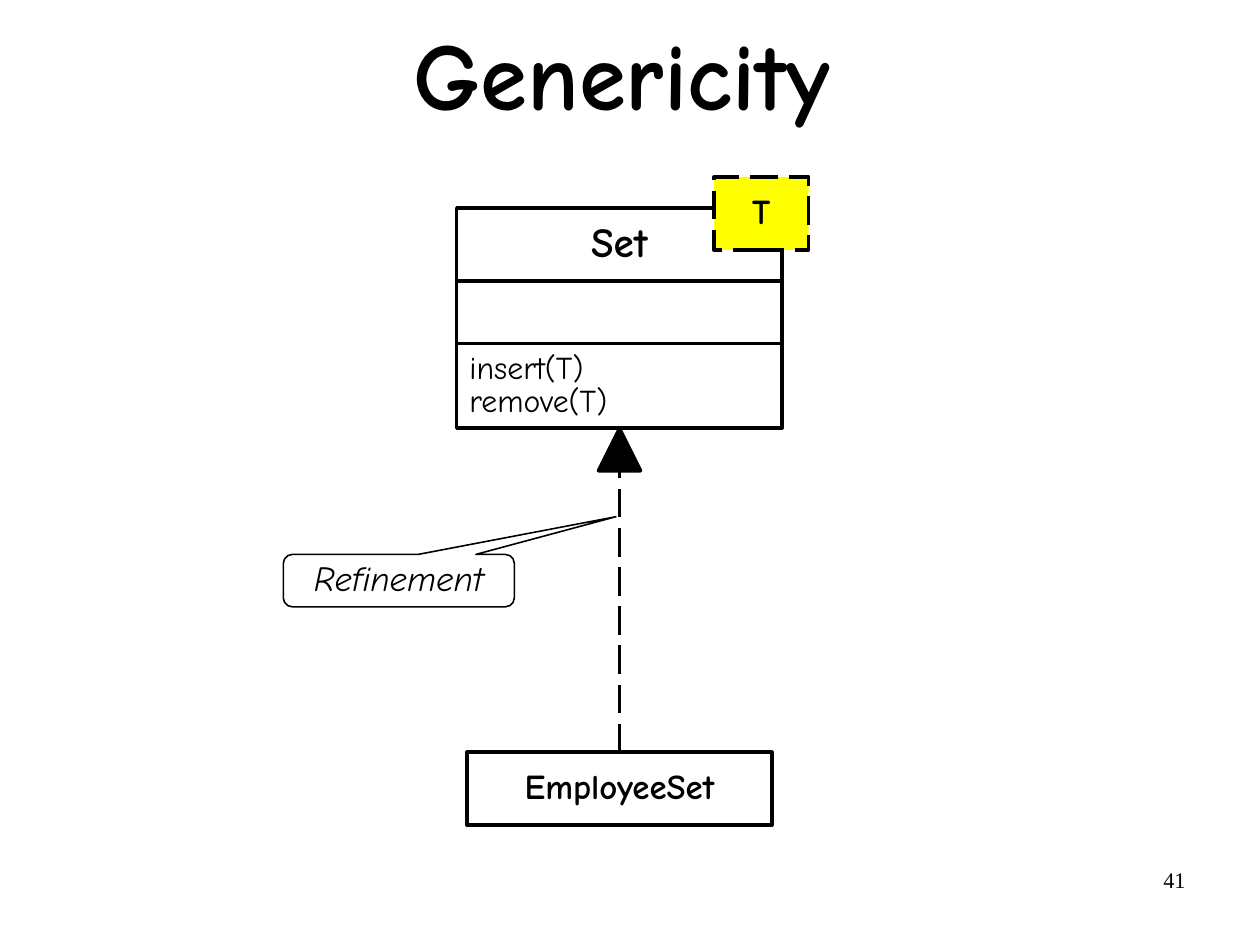
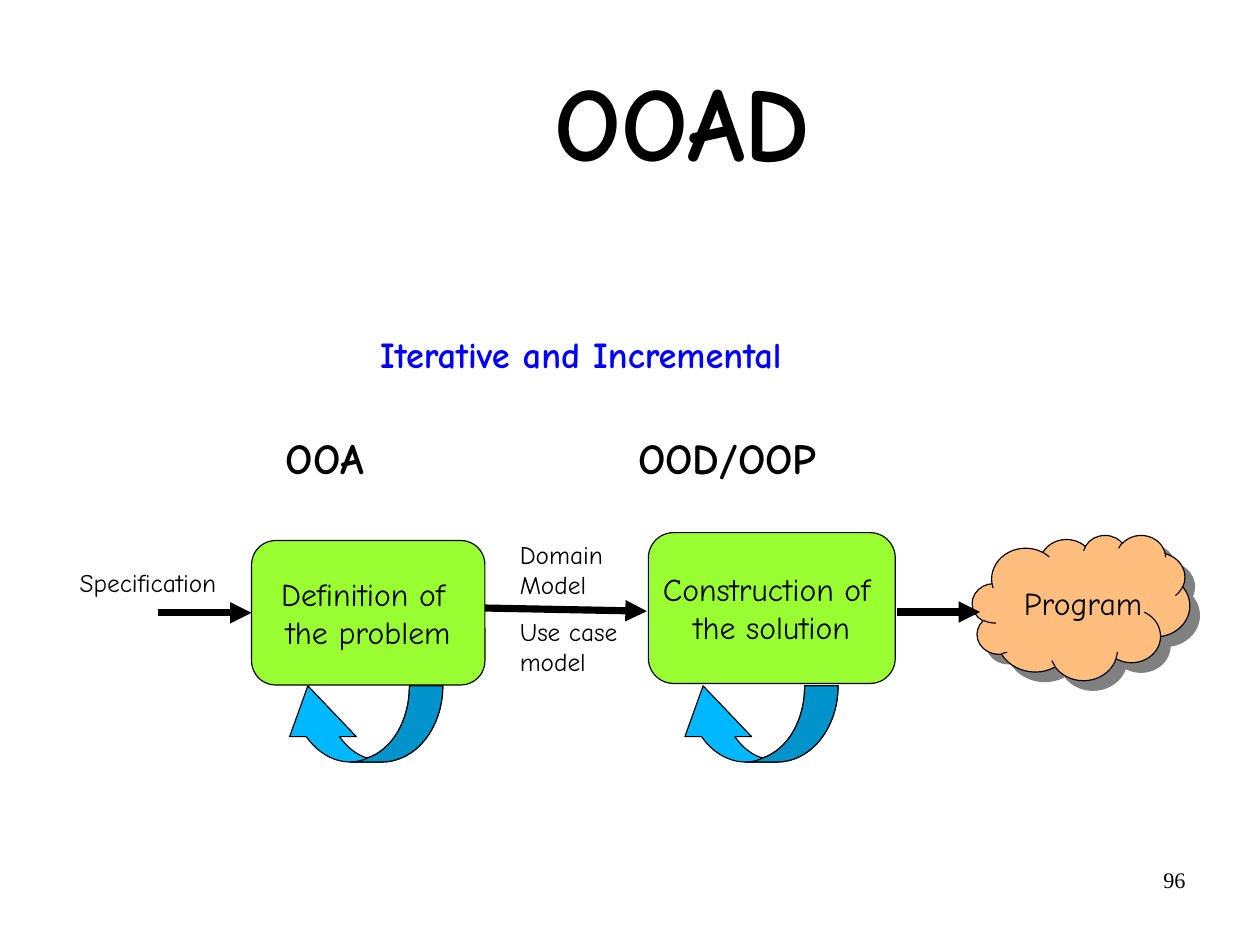
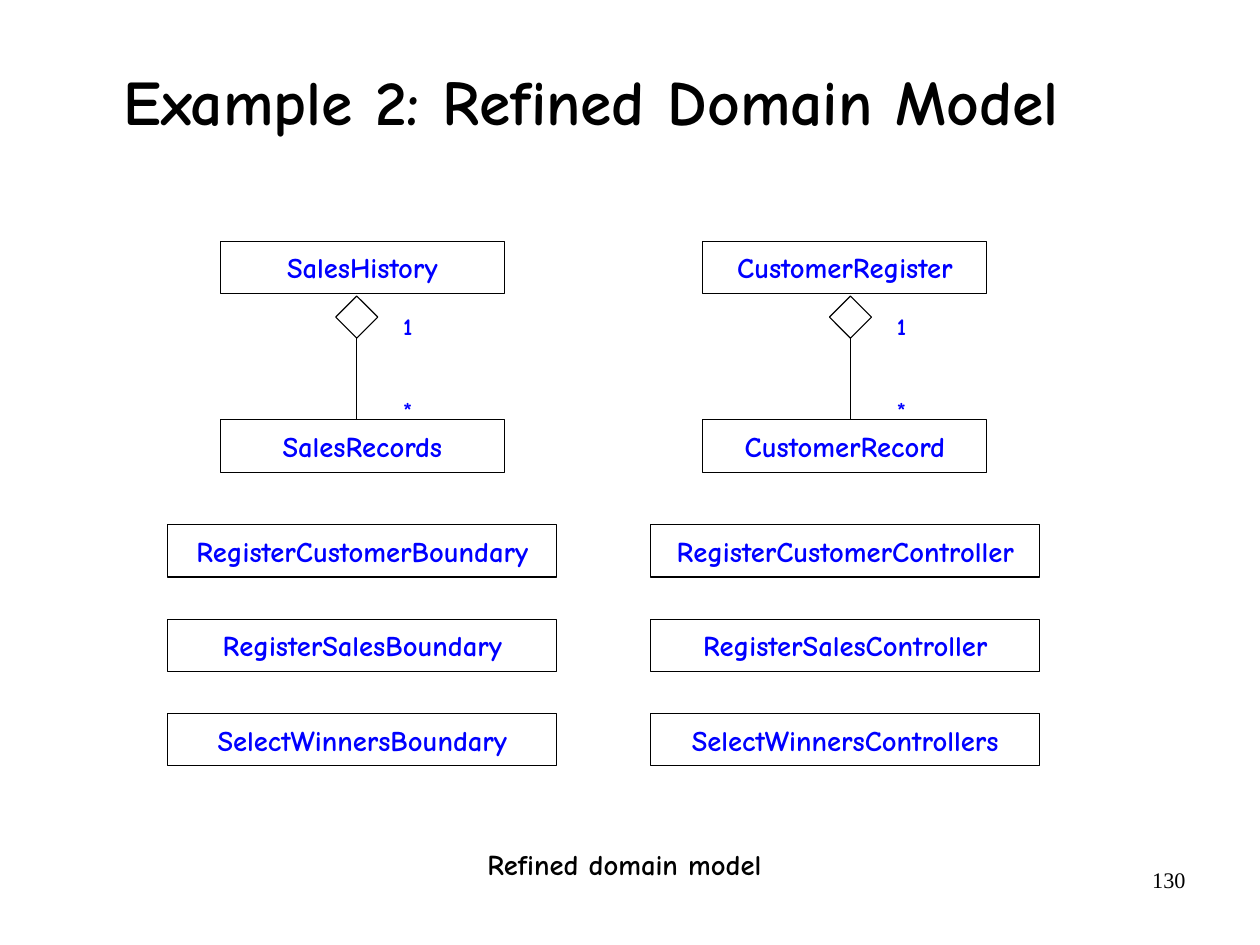
from dataclasses import dataclass

from lxml import etree
from pptx import Presentation
from pptx import util as u
from pptx.dml.color import RGBColor
from pptx.enum import dml, shapes, text
from pptx.oxml.ns import qn

Pt = u.Pt
KIND = shapes.MSO_SHAPE
ALIGN = text.PP_ALIGN
ANCHOR = text.MSO_ANCHOR


@dataclass(frozen=True)
class Theme:
    font: str = "Comic Neue"
    number_font: str = "Times New Roman"
    black: str = "000000"
    white: str = "FFFFFF"
    blue: str = "0000FF"
    yellow: str = "FFFF00"
    green: str = "99FF33"
    orange: str = "FFBE7D"
    grey: str = "808080"
    sky: str = "00B8FF"
    deep_sky: str = "0093CC"
    number: float = 14
    multiplicity: float = 15
    note: float = 16
    entity: float = 18
    body: float = 20
    label: float = 22
    subtitle: float = 23
    class_name: float = 26
    phase: float = 27
    thin: float = 0.75
    thick: float = 2.25
    flow: float = 4.5


theme = Theme()


def add_box(slide, kind, box, fill=None, width=None):
    """Add a preset shape, or a text box when kind is None."""
    place = [Pt(v) for v in box]
    if kind is None:
        return slide.shapes.add_textbox(*place)
    shape = slide.shapes.add_shape(kind, *place)
    shape.shadow.inherit = False
    if fill:
        shape.fill.solid()
        shape.fill.fore_color.rgb = RGBColor.from_string(fill)
    else:
        shape.fill.background()
    shape.line.color.rgb = RGBColor.from_string(theme.black)
    shape.line.width = Pt(width or theme.thin)
    return shape


def write(shape, lines, size, color=theme.black, bold=False, italic=False,
          align=ALIGN.CENTER, anchor=ANCHOR.MIDDLE, spacing=1.0, gap=0,
          inset=(8, 4.5), font=theme.font):
    """Fill a shape with one paragraph for each line."""
    frame = shape.text_frame
    frame.word_wrap = True
    frame.auto_size = text.MSO_AUTO_SIZE.NONE
    frame.vertical_anchor = anchor
    frame.margin_left = frame.margin_right = Pt(inset[0])
    frame.margin_top = frame.margin_bottom = Pt(inset[1])
    for i, line in enumerate(lines):
        paragraph = frame.add_paragraph() if i else frame.paragraphs[0]
        paragraph.alignment = align
        paragraph.line_spacing = spacing
        paragraph.space_before = Pt(gap if i else 0)
        run = paragraph.add_run()
        run.text = line
        run.font.name = font
        run.font.size = Pt(size)
        run.font.bold = bold
        run.font.italic = italic
        run.font.color.rgb = RGBColor.from_string(color)


deck = Presentation()
deck.slide_width, deck.slide_height = Pt(793.75), Pt(595.25)

# Titles and page numbers
pages = []
for title, size, box, anchor, number in [
    ("Genericity", 60, (53, 0, 677.5, 99), ANCHOR.MIDDLE, "41"),
    ("OOAD", 66, (86, 33, 687.5, 88), ANCHOR.BOTTOM, "96"),
    ("Example 2: Refined Domain Model", 40, (35, 14.5, 674.5, 102),
     ANCHOR.MIDDLE, "130"),
]:
    page = deck.slides.add_slide(deck.slide_layouts[5])
    heading = page.shapes.title
    heading.left, heading.top, heading.width, heading.height = map(Pt, box)
    inset = (8, 4.5) if anchor == ANCHOR.BOTTOM else (0, 0)
    write(heading, [title], size, bold=True, anchor=anchor, spacing=0.94, inset=inset)
    page_number = add_box(page, None, (569, 542, 185, 41))
    write(page_number, [number], theme.number, align=ALIGN.RIGHT,
          anchor=ANCHOR.TOP, inset=(7.2, 3.6), font=theme.number_font)
    pages.append(page)
genericity, ooad, domain_model = pages

# Genericity: class boxes, template parameter and callout
class_left, class_width = 287.75, 205
for kind, box, fill, lines, size, style in [
    (KIND.RECTANGLE, (294.25, 473.75, 192, 46), theme.white, ["EmployeeSet"],
     theme.label, {"bold": True}),
    (KIND.ROUNDED_RECTANGULAR_CALLOUT, (178.5, 349.25, 145.5, 33), theme.white,
     ["Refinement"], theme.label, {"italic": True}),
    (KIND.ISOSCELES_TRIANGLE, (377, 270, 26.5, 26.5), theme.black, [], 0, {}),
    (KIND.RECTANGLE, (class_left, 131, class_width, 46), theme.white, ["Set"],
     theme.class_name, {"bold": True}),
    (KIND.RECTANGLE, (class_left, 177, class_width, 39.5), theme.white, [], 0, {}),
    (KIND.RECTANGLE, (class_left, 216.5, class_width, 53), theme.white,
     ["insert(T)", "remove(T)"], theme.body, {"align": ALIGN.LEFT}),
    (KIND.RECTANGLE, (449.75, 111.5, 59.75, 46), theme.yellow, ["T"],
     theme.label, {"bold": True}),
]:
    part = add_box(genericity, kind, box, fill, theme.thick)
    write(part, lines, size, spacing=0.87, **style)
    if kind == KIND.ROUNDED_RECTANGULAR_CALLOUT:
        part.line.width = Pt(1)
        for i, value in enumerate((0.94, -1.22, 0.17)):
            part.adjustments[i] = value
    if fill == theme.yellow:
        part.line.dash_style = dml.MSO_LINE.LONG_DASH

# OOAD: result cloud with its shadow
cloud = add_box(ooad, KIND.CLOUD, (612.5, 337, 137, 91.5), theme.orange)
effects = cloud._element.spPr.find(qn("a:effectLst"))
shadow = etree.SubElement(effects, qn("a:outerShdw"), dist=str(Pt(8.5)),
                          dir="2700000", algn="ctr", rotWithShape="0")
etree.SubElement(shadow, qn("a:srgbClr"), val=theme.grey)

# OOAD: the two activities
for box, lines in [
    ((158.5, 340.5, 147, 91), ["Definition of ", "the problem"]),
    ((408.5, 335.5, 155.5, 95), ["Construction of ", "the solution"]),
]:
    activity = add_box(ooad, KIND.ROUNDED_RECTANGLE, box, theme.green)
    write(activity, lines, theme.body, inset=(0, 4.5))

# OOAD: labels
for box, lines, size, style in [
    ((31, 360, 124.5, 18.5), ["Specification"], theme.note,
     {"align": ALIGN.CENTER, "spacing": 0.55}),
    ((637, 363, 112.5, 31.5), ["Program"], theme.body, {}),
    ((319.5, 335, 85.5, 95), ["Domain Model", "Use case model"], theme.note,
     {"gap": 10}),
    ((172, 267.5, 150, 40), ["OOA"], theme.phase, {"bold": True}),
    ((394, 267.5, 200, 40), ["OOD/OOP"], theme.phase, {"bold": True}),
    ((231.5, 204.5, 366, 35.5), ["Iterative and Incremental"], theme.subtitle,
     {"bold": True, "color": theme.blue}),
]:
    write(add_box(ooad, None, box), lines, size,
          **{"align": ALIGN.LEFT, "anchor": ANCHOR.TOP, **style})

# OOAD: iteration arrows; six numbers are a curve, two are a corner
loop_outline = [
    (11.5, 0), (0, 32), (10.5, 32), (17.5, 42, 27.5, 48, 38.5, 48), (58, 48),
    (79.5, 48, 96.5, 26.5, 96.5, 0), (75.5, 0), (75.5, 21.5, 65, 40, 49, 45.5),
    (42, 43.5, 36, 38.5, 31.5, 32), (42, 32),
]
loop_tail = [
    (96.5, 0), (96.5, 26.5, 79.5, 48, 58, 48), (38.5, 48),
    (42, 48, 46, 47, 49, 45.5), (65, 40, 75.5, 21.5, 75.5, 0),
]
curve_steps = 16
for loop_left in (182.5, 431.5):
    for outline, color in ((loop_outline, theme.sky), (loop_tail, theme.deep_sky)):
        points = []
        for step in outline:
            if len(step) == 2:
                points.append(step)
                continue
            knots = [points[-1], step[:2], step[2:4], step[4:]]
            for i in range(1, curve_steps + 1):
                t = i / curve_steps
                weights = ((1 - t) ** 3, 3 * t * (1 - t) ** 2, 3 * t * t * (1 - t), t ** 3)
                points.append(tuple(sum(w * k[axis] for w, k in zip(weights, knots))
                                    for axis in (0, 1)))
        points = [(Pt(loop_left + x), Pt(432 + y)) for x, y in points]
        builder = ooad.shapes.build_freeform(*points[0])
        builder.add_line_segments(points[1:], close=True)
        loop = builder.convert_to_shape()
        loop.shadow.inherit = False
        loop.fill.solid()
        loop.fill.fore_color.rgb = RGBColor.from_string(color)
        loop.line.color.rgb = RGBColor.from_string(theme.black)
        loop.line.width = Pt(theme.thin)

# Refined domain model: aggregations
for center, whole, part, stem in [
    (228.25, "SalesHistory", "SalesRecords", 224.75),
    (532.25, "CustomerRegister", "CustomerRecord", 535.75),
]:
    for top, name in ((152, whole), (264.5, part)):
        entity = add_box(domain_model, KIND.RECTANGLE, (center - 89.5, top, 179, 33))
        write(entity, [name], theme.entity, theme.blue, bold=True, inset=(0, 0))
    add_box(domain_model, KIND.DIAMOND, (stem - 13.25, 186.5, 26.5, 26.5))
    for top, count in ((192, "1"), (244.5, "*")):
        multiplicity = add_box(domain_model, None, (stem + 21.25, top, 30, 26))
        write(multiplicity, [count], theme.multiplicity, theme.blue, bold=True,
              align=ALIGN.LEFT, anchor=ANCHOR.TOP)

# Refined domain model: boundaries and controllers
for left, names in [
    (105.75, ["RegisterCustomerBoundary", "RegisterSalesBoundary",
              "SelectWinnersBoundary"]),
    (410, ["RegisterCustomerController", "RegisterSalesController",
           "SelectWinnersControllers"]),
]:
    for row, name in enumerate(names):
        entity = add_box(domain_model, KIND.RECTANGLE,
                         (left, 330.5 + 59.5 * row, 245, 33))
        write(entity, [name], theme.entity, theme.blue, bold=True, inset=(0, 0))

caption = add_box(domain_model, None, (299, 528.75, 200, 30))
write(caption, ["Refined domain model"], theme.entity, bold=True,
      align=ALIGN.LEFT, anchor=ANCHOR.TOP)

# Connecting lines on all slides
for page, ends, width in [
    (genericity, (390.25, 473.75, 390.25, 296.5), theme.thick),
    (ooad, (99.5, 386, 158.5, 386), theme.flow),
    (ooad, (305.5, 383, 407.5, 385), theme.flow),
    (ooad, (565, 385.5, 617.5, 385.5), theme.flow),
    (domain_model, (224.75, 213, 224.75, 264.5), theme.thin),
    (domain_model, (535.75, 213, 535.75, 264.5), theme.thin),
]:
    link = page.shapes.add_connector(shapes.MSO_CONNECTOR.STRAIGHT, *map(Pt, ends))
    link.line.color.rgb = RGBColor.from_string(theme.black)
    link.line.width = Pt(width)
    if page is genericity:
        link.line.dash_style = dml.MSO_LINE.LONG_DASH
    if width == theme.flow:
        etree.SubElement(link.line._get_or_add_ln(), qn("a:tailEnd"), type="triangle")
    etree.SubElement(link._element.spPr, qn("a:effectLst"))

deck.save("out.pptx")
